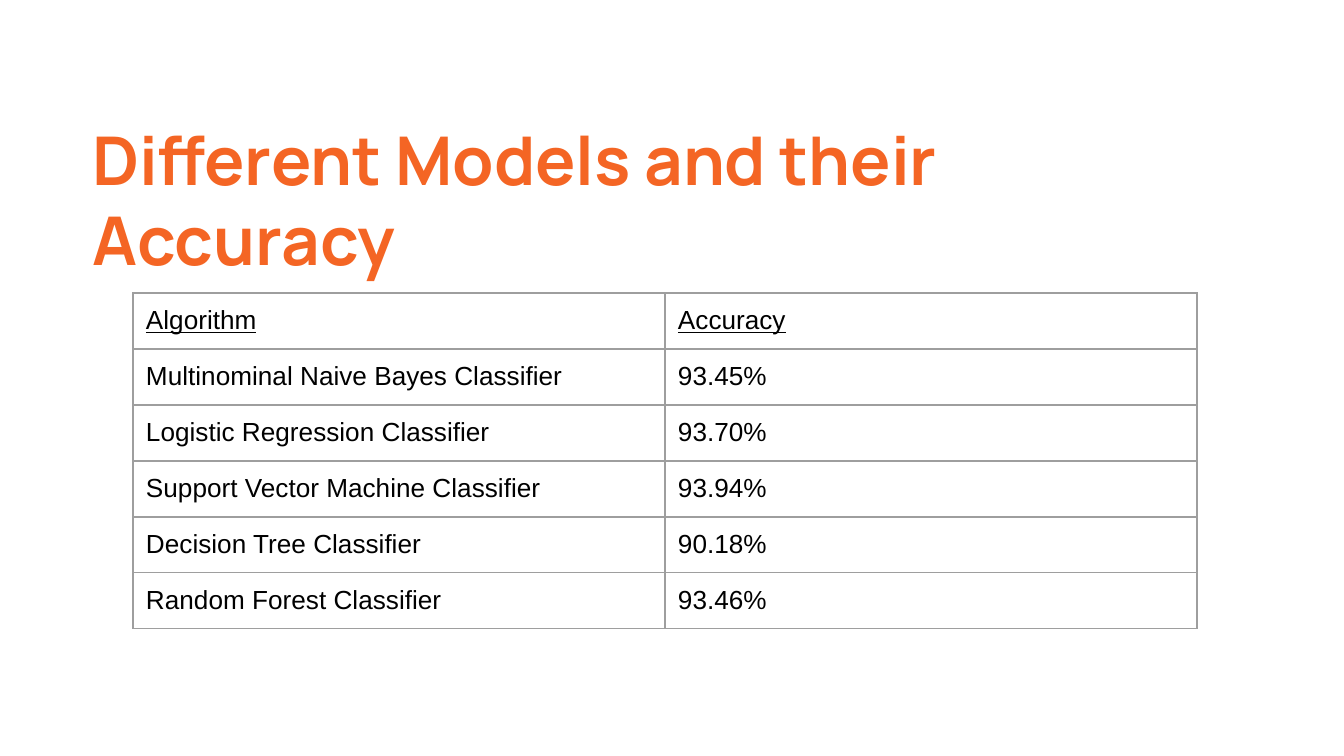
import pptx
import pptx.dml.color
import pptx.enum.text
import pptx.oxml
import pptx.oxml.ns
import pptx.util

TITLE = "Different Models and their Accuracy"
HEADINGS = ("Algorithm", "Accuracy")
MODELS = [
    ("Multinominal Naive Bayes Classifier", "93.45%"),
    ("Logistic Regression Classifier", "93.70%"),
    ("Support Vector Machine Classifier", "93.94%"),
    ("Decision Tree Classifier", "90.18%"),
    ("Random Forest Classifier", "93.46%"),
]

SLIDE_SIZE = (1344, 756)
TITLE_BOX = (79, 105, 1185, 113)
TABLE_LEFT, TABLE_TOP = 133, 293
COLUMN_WIDTH, ROW_HEIGHT = 532, 56
INSET = 13
ORANGE, BLACK, GREY = "F46524", "000000", "9E9E9E"


def px(length):
    return pptx.util.Emu(round(length * 914400 / 134.4))


def color(value):
    return pptx.dml.color.RGBColor.from_string(value)


def write(frame, text, size, font, fill, bold=False, underline=False, after=0):
    paragraph = frame.paragraphs[0]
    paragraph.alignment = pptx.enum.text.PP_ALIGN.LEFT
    paragraph.line_spacing = 1.0
    paragraph.space_after = pptx.util.Pt(after)
    run = paragraph.add_run()
    run.text = text
    run.font.size = pptx.util.Pt(size)
    run.font.name = font
    run.font.bold = bold
    run.font.underline = underline
    run.font.color.rgb = color(fill)


def set_insets(holder):
    holder.margin_left = holder.margin_right = px(INSET)
    holder.margin_top = holder.margin_bottom = px(INSET)
    holder.vertical_anchor = pptx.enum.text.MSO_ANCHOR.TOP


def add_borders(cell, line_color, points):
    properties = cell._tc.get_or_add_tcPr()
    for position, side in enumerate(("lnL", "lnR", "lnT", "lnB")):
        border = pptx.oxml.parse_xml(
            f'<a:{side} {pptx.oxml.ns.nsdecls("a")} w="{pptx.util.Pt(points)}">'
            f'<a:solidFill><a:srgbClr val="{line_color}"/></a:solidFill>'
            f'<a:prstDash val="solid"/></a:{side}>'
        )
        properties.insert(position, border)


def add_title(slide):
    title = slide.shapes.title
    title.left, title.top, title.width, title.height = map(px, TITLE_BOX)
    frame = title.text_frame
    frame.word_wrap = True
    frame.auto_size = pptx.enum.text.MSO_AUTO_SIZE.NONE
    set_insets(frame)
    write(frame, TITLE, 36, "Manrope", ORANGE, bold=True, after=16)


def add_accuracy_table(slide):
    rows = [HEADINGS, *MODELS]
    table = slide.shapes.add_table(
        len(rows), len(HEADINGS), px(TABLE_LEFT), px(TABLE_TOP),
        px(COLUMN_WIDTH * len(HEADINGS)), px(ROW_HEIGHT * len(rows)),
    ).table
    table.first_row = table.horz_banding = False
    for column in table.columns:
        column.width = px(COLUMN_WIDTH)
    for r, values in enumerate(rows):
        table.rows[r].height = px(ROW_HEIGHT)
        for c, value in enumerate(values):
            cell = table.cell(r, c)
            cell.fill.background()
            set_insets(cell)
            add_borders(cell, GREY, 0.75)
            write(cell.text_frame, value, 14, "Arial", BLACK, underline=r == 0)


def main():
    deck = pptx.Presentation()
    deck.slide_width, deck.slide_height = map(px, SLIDE_SIZE)
    slide = deck.slides.add_slide(deck.slide_layouts[5])
    slide.background.fill.solid()
    slide.background.fill.fore_color.rgb = color("FFFFFF")
    add_title(slide)
    add_accuracy_table(slide)
    deck.save("out.pptx")


if __name__ == "__main__":
    main()
